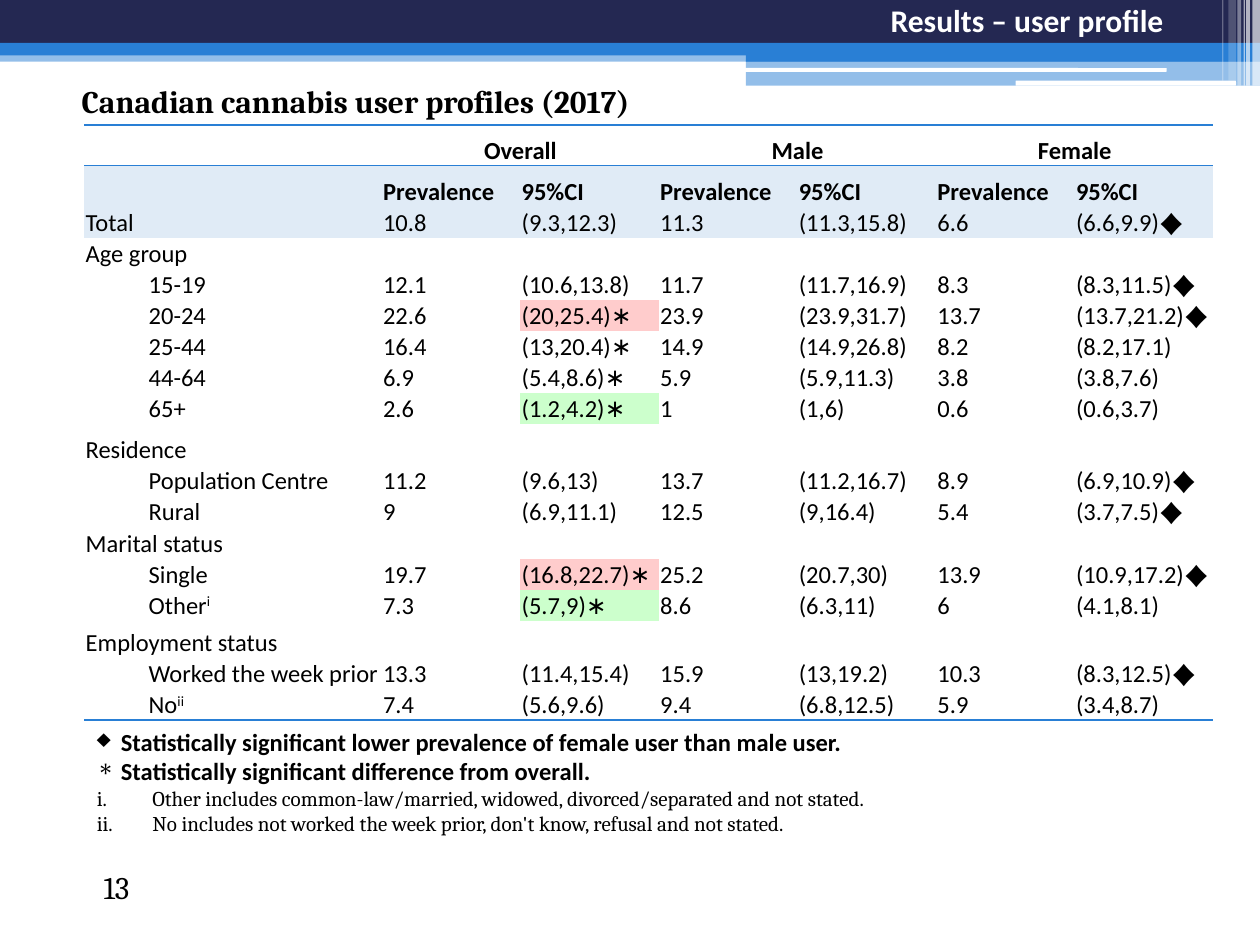
from lxml import etree
from pptx import Presentation
from pptx import util as u
from pptx.dml.color import RGBColor
from pptx.enum import shapes, text
from pptx.oxml.ns import qn

WIDTH, HEIGHT = u.Inches(10), u.Inches(7.5)
COL, ROW = WIDTH // 1000, HEIGHT // 750
COLORS = {"navy": "242852", "blue": "297FD5", "white": "FFFFFF", "black": "000000",
          "pale": "E0EBF6", "high": "FFCCCC", "low": "CCFFCC"}
PLAIN = {"name": "Calibri", "size": u.Pt(14), "bold": False}
BOLD = {**PLAIN, "bold": True}
HEADING = {"name": "Calibri", "size": u.Pt(18), "bold": True}
TITLE = {**HEADING, "name": "Cambria"}
NUMBER = {**TITLE, "bold": False}
NOTE = {**NUMBER, "size": u.Pt(12)}
CELL = {"margin_left": COL, "margin_right": COL, "margin_top": ROW, "margin_bottom": 0,
        "vertical_anchor": text.MSO_ANCHOR.BOTTOM}
NO_STYLE = "{2D5ABB26-0587-4C30-8999-92F81FD0307C}"
INDENT = 50

BANDS = [
    (0, 40, 1000, 9, "blue", 50), (0, 0, 1000, 34, "navy", 100),
    (0, 34, 1000, 10, "blue", 100), (592, 39, 408, 10, "blue", 100),
    (592, 48, 408, 20, "blue", 50),
]
PILLS = [(591, 54, 335, 3, "white", 100), (806, 64, 175, 4, "white", 100)]
STRIPES = [
    (994, 0, 6, 68, "white", 65), (989, 0, 3, 68, "white", 65),
    (987, 0, 1, 68, "white", 60), (982, 0, 3, 68, "white", 40),
    (975, 0, 6, 64, "white", 20), (970, 0, 1, 64, "white", 30),
]
SEXES = ["Overall", "Male", "Female"]
TOTAL = ["Total", "10.8", "(9.3,12.3)", "11.3", "(11.3,15.8)", "6.6", "(6.6,9.9)♦"]
GROUPS = {
    "Age group": [
        ["15-19", "12.1", "(10.6,13.8)", "11.7", "(11.7,16.9)", "8.3", "(8.3,11.5)♦"],
        ["20-24", "22.6", "(20,25.4)∗", "23.9", "(23.9,31.7)", "13.7", "(13.7,21.2)♦"],
        ["25-44", "16.4", "(13,20.4)∗", "14.9", "(14.9,26.8)", "8.2", "(8.2,17.1)"],
        ["44-64", "6.9", "(5.4,8.6)∗", "5.9", "(5.9,11.3)", "3.8", "(3.8,7.6)"],
        ["65+", "2.6", "(1.2,4.2)∗", "1", "(1,6)", "0.6", "(0.6,3.7)"],
    ],
    "Residence": [
        ["Population Centre", "11.2", "(9.6,13)", "13.7", "(11.2,16.7)", "8.9", "(6.9,10.9)♦"],
        ["Rural", "9", "(6.9,11.1)", "12.5", "(9,16.4)", "5.4", "(3.7,7.5)♦"],
    ],
    "Marital status": [
        ["Single", "19.7", "(16.8,22.7)∗", "25.2", "(20.7,30)", "13.9", "(10.9,17.2)♦"],
        ["Other^i", "7.3", "(5.7,9)∗", "8.6", "(6.3,11)", "6", "(4.1,8.1)"],
    ],
    "Employment status": [
        ["Worked the week prior", "13.3", "(11.4,15.4)", "15.9", "(13,19.2)", "10.3", "(8.3,12.5)♦"],
        ["No^ii", "7.4", "(5.6,9.6)", "9.4", "(6.8,12.5)", "5.9", "(3.4,8.7)"],
    ],
}
HIGHLIGHTS = {"20-24": "high", "Single": "high", "65+": "low", "Other^i": "low"}
ROW_HEIGHTS = {"Residence": 32.5, "Employment status": 29.5}
FOOTNOTES = [
    ("Statistically significant lower prevalence of female user than male user.",
     BOLD, 19, "buChar", {"char": "♦"}),
    ("Statistically significant difference from overall.",
     BOLD, 19, "buChar", {"char": "∗"}),
    ("Other includes common-law/married, widowed, divorced/separated and not stated.",
     NOTE, 44, "buAutoNum", {"type": "romanLcPeriod"}),
    ("No includes not worked the week prior, don't know, refusal and not stated.",
     NOTE, 44, "buAutoNum", {"type": "romanLcPeriod"}),
]


def rgb(color):
    """Return the named colour."""
    return RGBColor.from_string(COLORS[color])


def apply(target, values):
    """Set each attribute of the target from a dict."""
    for key, value in values.items():
        setattr(target, key, value)


def grid(left, top, width, height):
    """Turn columns and rows into slide lengths."""
    return [int(n) for n in (left * COL, top * ROW, width * COL, height * ROW)]


def add_bar(slide, kind, left, top, width, height, color, opacity):
    """Add one bar of the header decoration."""
    bar = slide.shapes.add_shape(kind, *grid(left, top, width, height))
    bar.shadow.inherit = False
    bar.line.fill.background()
    bar.fill.solid()
    bar.fill.fore_color.rgb = rgb(color)
    if opacity < 100:
        tint = bar.fill._xPr.find(".//" + qn("a:srgbClr"))
        etree.SubElement(tint, qn("a:alpha"), val=str(opacity * 1000))


def write(para, words, font, color="black"):
    """Write words into a paragraph, raising what follows a caret."""
    base, _, raised = words.partition("^")
    for part in filter(None, (base, raised)):
        run = para.add_run()
        run.text = part
        apply(run.font, font)
        run.font.color.rgb = rgb(color)
    if raised:
        run.font._element.set("baseline", "30000")


def indent(para, margin, hanging=0):
    """Set the left margin and the hanging indent in columns."""
    props = para._p.get_or_add_pPr()
    props.set("marL", str(margin * COL))
    props.set("indent", str(-hanging * COL))
    return props


def add_text(slide, box, words="", font=None, color="black", wrap=True):
    """Add a text box and return its frame."""
    frame = slide.shapes.add_textbox(*grid(*box)).text_frame
    frame.word_wrap = wrap
    if words:
        write(frame.paragraphs[0], words, font, color)
    return frame


def add_footnotes(slide):
    """Add the bulleted and numbered notes below the table."""
    frame = add_text(slide, (67, 572, 858, 98))
    for index, (words, font, margin, bullet, values) in enumerate(FOOTNOTES):
        para = frame.add_paragraph() if index else frame.paragraphs[0]
        etree.SubElement(indent(para, margin, margin), qn("a:" + bullet), **values)
        write(para, words, font)


def rule_cell(cell, sides):
    """Draw blue rules on the given sides of a cell."""
    for index, side in enumerate(sides):
        line = etree.Element(qn("a:ln" + side), w=str(u.Pt(1)))
        fill = etree.SubElement(line, qn("a:solidFill"))
        etree.SubElement(fill, qn("a:srgbClr"), val=COLORS["blue"])
        cell._tc.get_or_add_tcPr().insert(index, line)


def fill_cell(cell, words, font, color=None):
    """Write one table cell and set its fill."""
    apply(cell, CELL)
    para = cell.text_frame.paragraphs[0]
    write(para, words, font)
    if not words:
        etree.SubElement(para._p, qn("a:endParaRPr"), sz="1400")
    if color:
        cell.fill.solid()
        cell.fill.fore_color.rgb = rgb(color)
    else:
        cell.fill.background()


def add_profiles(slide):
    """Add the table of user profiles."""
    top = [""] + [words for sex in SEXES for words in (sex, "")]
    rows = [top, [""] + ["Prevalence", "95%CI"] * len(SEXES), TOTAL]
    for group, members in GROUPS.items():
        rows += [[group] + [""] * 6, *members]
    members = {row[0] for group in GROUPS.values() for row in group}
    table = slide.shapes.add_table(len(rows), 7, *grid(67, 99, 898, 472)).table
    apply(table, {"first_row": False, "horz_banding": False})
    table._tbl.tblPr.find(qn("a:tableStyleId")).text = NO_STYLE
    for index, column in enumerate(table.columns):
        column.width = (110 if index else 236) * COL
    for r, row in enumerate(rows):
        height = 32.5 if r < 2 else ROW_HEIGHTS.get(row[0], 24)
        table.rows[r].height = int(height * ROW)
        for c, words in enumerate(row):
            cell = table.cell(r, c)
            color = "pale" if r in (1, 2) else HIGHLIGHTS.get(row[0]) if c == 2 else None
            fill_cell(cell, words, BOLD if r < 2 else PLAIN, color)
            rule_cell(cell, "TB" if r == 0 else "B" if r == len(rows) - 1 else "")
        if row[0] in members:
            indent(table.cell(r, 0).text_frame.paragraphs[0], INDENT)
    for c in range(1, 7, 2):
        table.cell(0, c).merge(table.cell(0, c + 1))
        table.cell(0, c).text_frame.paragraphs[0].alignment = text.PP_ALIGN.CENTER


def main():
    """Build the slide and save it."""
    deck = Presentation()
    apply(deck, {"slide_width": WIDTH, "slide_height": HEIGHT})
    slide = deck.slides.add_slide(deck.slide_layouts[6])
    kinds = shapes.MSO_SHAPE
    for kind, bars in ((kinds.RECTANGLE, BANDS), (kinds.ROUNDED_RECTANGLE, PILLS),
                       (kinds.RECTANGLE, STRIPES)):
        for bar in bars:
            add_bar(slide, kind, *bar)
    add_profiles(slide)
    number = add_text(slide, (51, 684, 83, 40), "13", NUMBER)
    number.vertical_anchor = text.MSO_ANCHOR.BOTTOM
    number.paragraphs[0].alignment = text.PP_ALIGN.CENTER
    add_text(slide, (697, -4, 255, 40), "Results – user profile", HEADING, "white", False)
    title = add_text(slide, (43, 60, 543, 40), "Canadian cannabis user profiles (2017)", TITLE)
    indent(title.paragraphs[0], 12)
    add_footnotes(slide)
    deck.save("out.pptx")


if __name__ == "__main__":
    main()
